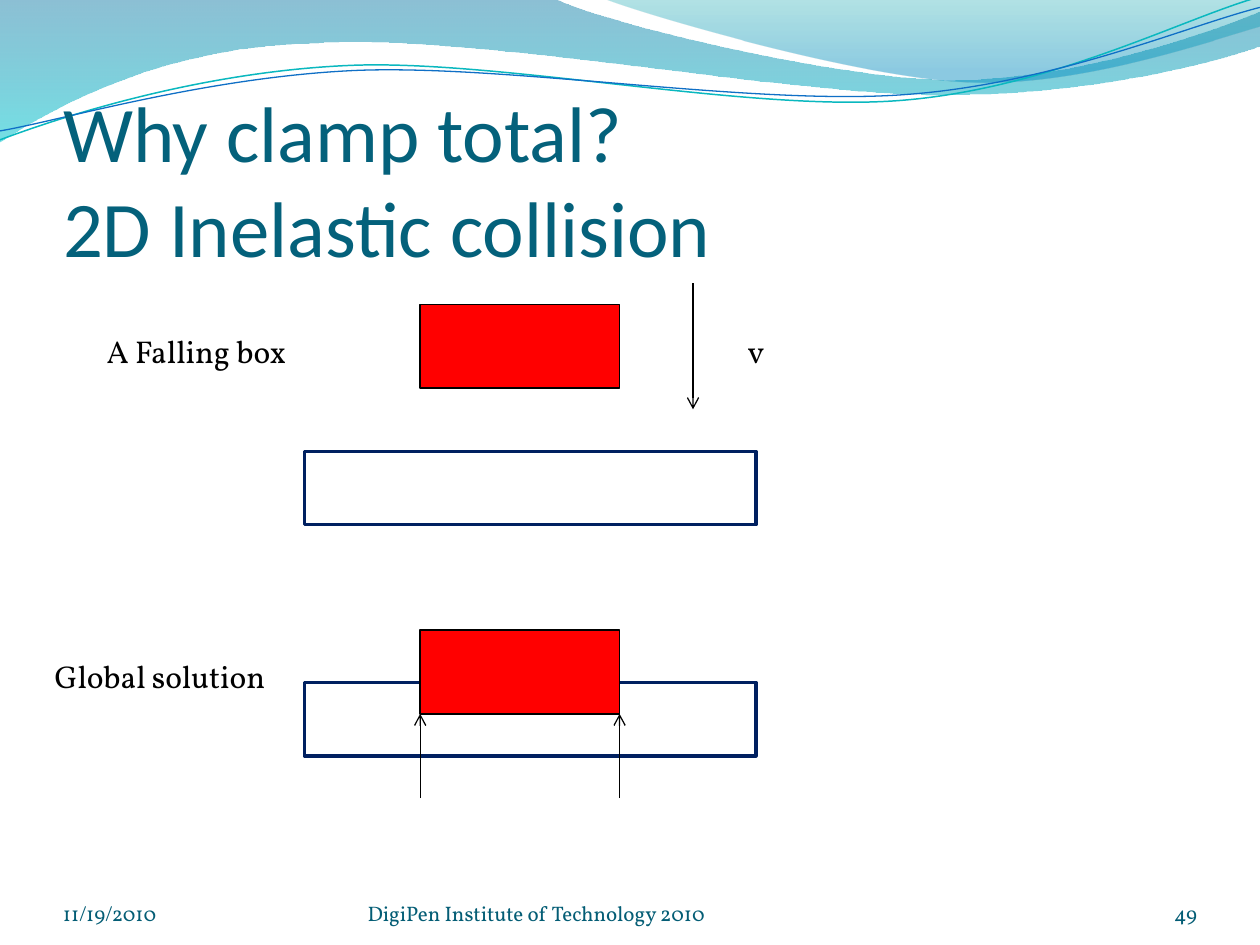
from dataclasses import dataclass
from typing import Optional

from lxml.etree import Element, SubElement
from pptx import Presentation
from pptx.dml.color import RGBColor as RGB
from pptx.enum.shapes import MSO_CONNECTOR as CONN, MSO_SHAPE as SHAPE
from pptx.enum.text import MSO_ANCHOR as ANCHOR, MSO_AUTO_SIZE as AUTO, PP_ALIGN as ALIGN
from pptx.oxml.ns import qn
from pptx.util import Cm, Pt

COLORS = {
    "title": "04617B", "footer": "045D75", "text": "000000",
    "box": "FF0000", "ground": "002060", "outline": "000000",
    "blue": "0074A1", "cyan": "00C6CF", "teal": "00A1A9", "sky": "008BBF",
    "teal_line": "0AB8BF", "blue_line": "0F6FC6",
}
BODY_FONT = "Vollkorn"


@dataclass
class Stop:
    position: float
    color: str
    opacity: int


@dataclass
class Wave:
    start: tuple
    segments: list
    stops: Optional[list] = None
    line: Optional[str] = None
    weight: float = 0


@dataclass
class Block:
    left: float
    top: float
    width: float
    height: float
    line: str
    weight: float
    fill: Optional[str] = None


@dataclass
class Arrow:
    x: float
    start: float
    end: float


@dataclass
class Label:
    text: str
    left: float
    top: float
    width: float
    size: float = 18
    color: str = "text"
    align: ALIGN = ALIGN.LEFT
    footer: bool = False


WAVES = [
    Wave((0, 0), [
        ((11.18, -0.03),),
        ((12.09, 0.43), (16.87, 1.6), (19.25, 1.6)),
        ((21.67, 1.6), (24.33, 0.66), (25.4, 0.23)),
        ((25.43, 0.91),),
        ((24.97, 1.12), (22.1, 1.93), (18.95, 1.91)),
        ((15.8, 1.91), (9.7, 0.71), (6.53, 0.86)),
        ((3.28, 0.91), (1.17, 2.11), (-0.03, 2.87)),
    ], stops=[Stop(0, "blue", 45), Stop(1, "cyan", 55)]),
    Wave((12.17, -0.03), [
        ((12.93, 0.28), (17.32, 1.57), (19.53, 1.65)),
        ((21.74, 1.75), (24.41, 0.81), (25.4, 0.53)),
        ((25.4, 0),),
    ], stops=[Stop(0, "teal", 30), Stop(0.8, "sky", 45)]),
    Wave((0, 2.82), [
        ((1.22, 2.36), (4.01, 1.45), (7.04, 1.32)),
        ((10.03, 1.19), (15.06, 2.26), (18.11, 2.03)),
        ((21.16, 1.8), (23.83, 0.38), (25.35, -0.05)),
    ], line="teal_line", weight=0.85),
    Wave((0, 2.64), [
        ((1.19, 2.44), (4.17, 1.55), (7.19, 1.42)),
        ((10.24, 1.3), (15.16, 2.13), (18.21, 1.91)),
        ((21.23, 1.7), (23.9, 0.53), (25.4, 0.15)),
    ], line="blue_line", weight=0.75),
]

BOX_LEFT, BOX_WIDTH = 8.47, 4.02
FALLING_TOP, RESTING_TOP = 6.14, 12.7
ARROWS = [Arrow(13.97, 5.71, 8.25)] + [
    Arrow(x, 16.09, 14.39) for x in (BOX_LEFT, BOX_LEFT + BOX_WIDTH)
]
LABELS = [
    Label("A Falling box", 1.9, 6.56, 4.88),
    Label("Global solution", 0.85, 13.12, 6.35),
    Label("v", 14.82, 6.56, 4.88),
    Label("11/19/2010", 1.27, 17.65, 5.93, 12, "footer", footer=True),
    Label("49", 22.01, 17.65, 2.12, 12, "footer", ALIGN.RIGHT, True),
    Label("DigiPen Institute of Technology 2010", 7.41, 17.65, 9.31, 12, "footer", footer=True),
]


def rgb(name: str) -> RGB:
    return RGB.from_string(COLORS[name])


def set_line(sp, color: str, weight: float) -> None:
    sp.line.color.rgb = rgb(color)
    sp.line.width = Pt(weight)


def bend(sp, segments: list) -> None:
    steps = iter(list(sp._element.iter(qn("a:lnTo"))))
    for segment in segments:
        group = [next(steps) for _ in segment]
        if len(group) == 3:
            curve = Element(qn("a:cubicBezTo"))
            group[0].addprevious(curve)
            for step in group:
                curve.append(step[0])
                step.getparent().remove(step)


def add_wave(s, wave: Wave) -> None:
    points = [wave.start] + [point for segment in wave.segments for point in segment]
    first, *rest = [(Cm(x), Cm(y)) for x, y in points]
    builder = s.shapes.build_freeform(*first)
    builder.add_line_segments(rest, close=wave.stops is not None)
    sp = builder.convert_to_shape()
    bend(sp, wave.segments)
    sp.shadow.inherit = False
    if wave.stops is None:
        sp.fill.background()
        set_line(sp, wave.line, wave.weight)
        return
    sp.line.fill.background()
    sp.fill.gradient()
    sp.fill.gradient_angle = 270
    for target, stop in zip(sp.fill.gradient_stops, wave.stops):
        target.position = stop.position
        target.color.rgb = rgb(stop.color)
    for clr, stop in zip(sp._element.spPr.iter(qn("a:srgbClr")), wave.stops):
        SubElement(clr, qn("a:alpha")).set("val", str(stop.opacity * 1000))


def add_block(s, b: Block) -> None:
    sp = s.shapes.add_shape(SHAPE.RECTANGLE, Cm(b.left), Cm(b.top), Cm(b.width), Cm(b.height))
    sp.shadow.inherit = False
    if b.fill:
        sp.fill.solid()
        sp.fill.fore_color.rgb = rgb(b.fill)
    else:
        sp.fill.background()
    set_line(sp, b.line, b.weight)


def add_ground(s, top: float) -> None:
    add_block(s, Block(6.14, top, 9.1, 1.48, "ground", 2))


def add_box(s, top: float) -> None:
    add_block(s, Block(BOX_LEFT, top, BOX_WIDTH, 1.69, "outline", 1, "box"))


def add_arrow(s, a: Arrow) -> None:
    sp = s.shapes.add_connector(CONN.STRAIGHT, Cm(a.x), Cm(a.start), Cm(a.x), Cm(a.end))
    set_line(sp, "outline", 0.75)
    SubElement(sp.line._get_or_add_ln(), qn("a:tailEnd")).set("type", "arrow")
    SubElement(sp._element.spPr, qn("a:effectLst"))


def add_label(s, label: Label) -> None:
    sp = s.shapes.add_textbox(Cm(label.left), Cm(label.top), Cm(label.width), Cm(1.02))
    tf = sp.text_frame
    tf.word_wrap = True
    if label.footer:
        tf.vertical_anchor = ANCHOR.BOTTOM
        tf.margin_left = tf.margin_right = tf.margin_top = tf.margin_bottom = Cm(0)
    tf.text = label.text
    p = tf.paragraphs[0]
    p.alignment = label.align
    style_runs(p, BODY_FONT, label.size, label.color)


def style_runs(p, font: str, size: float, color: str) -> None:
    for r in p.runs:
        r.font.name, r.font.size = font, Pt(size)
        r.font.color.rgb = rgb(color)


def place_title(s, text: str) -> None:
    sp = s.shapes.title
    s.shapes._spTree.append(sp._element)
    sp.left, sp.top, sp.width, sp.height = Cm(1.27), Cm(2.33), Cm(22.86), Cm(3.18)
    tf = sp.text_frame
    tf.word_wrap, tf.auto_size, tf.vertical_anchor = True, AUTO.NONE, ANCHOR.BOTTOM
    tf.margin_left = tf.margin_right = tf.margin_bottom = Cm(0)
    tf.margin_top = Cm(0.13)
    tf.text = text
    p = tf.paragraphs[0]
    p.alignment = ALIGN.LEFT
    style_runs(p, "Calibri", 45, "title")


def main() -> None:
    prs = Presentation()
    prs.slide_width, prs.slide_height = Cm(25.4), Cm(19.05)
    s = prs.slides.add_slide(prs.slide_layouts[5])
    for wave in WAVES:
        add_wave(s, wave)
    place_title(s, "Why clamp total? \v2D Inelastic collision")
    for ground_top, box_top in ((13.76, RESTING_TOP), (9.1, FALLING_TOP)):
        add_ground(s, ground_top)
        add_box(s, box_top)
    for arrow in ARROWS:
        add_arrow(s, arrow)
    for label in LABELS:
        add_label(s, label)
    prs.save("out.pptx")


if __name__ == "__main__":
    main()
